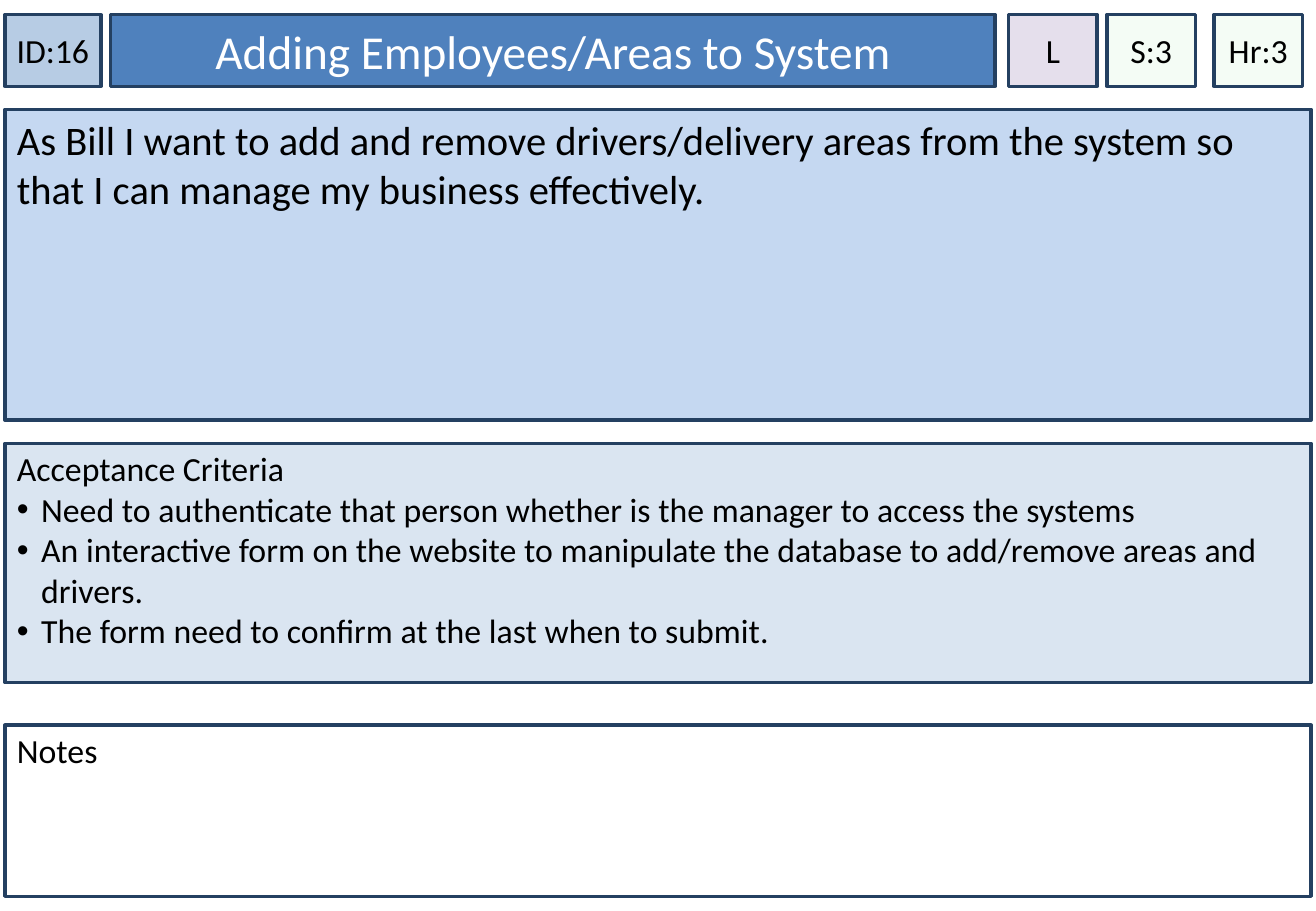
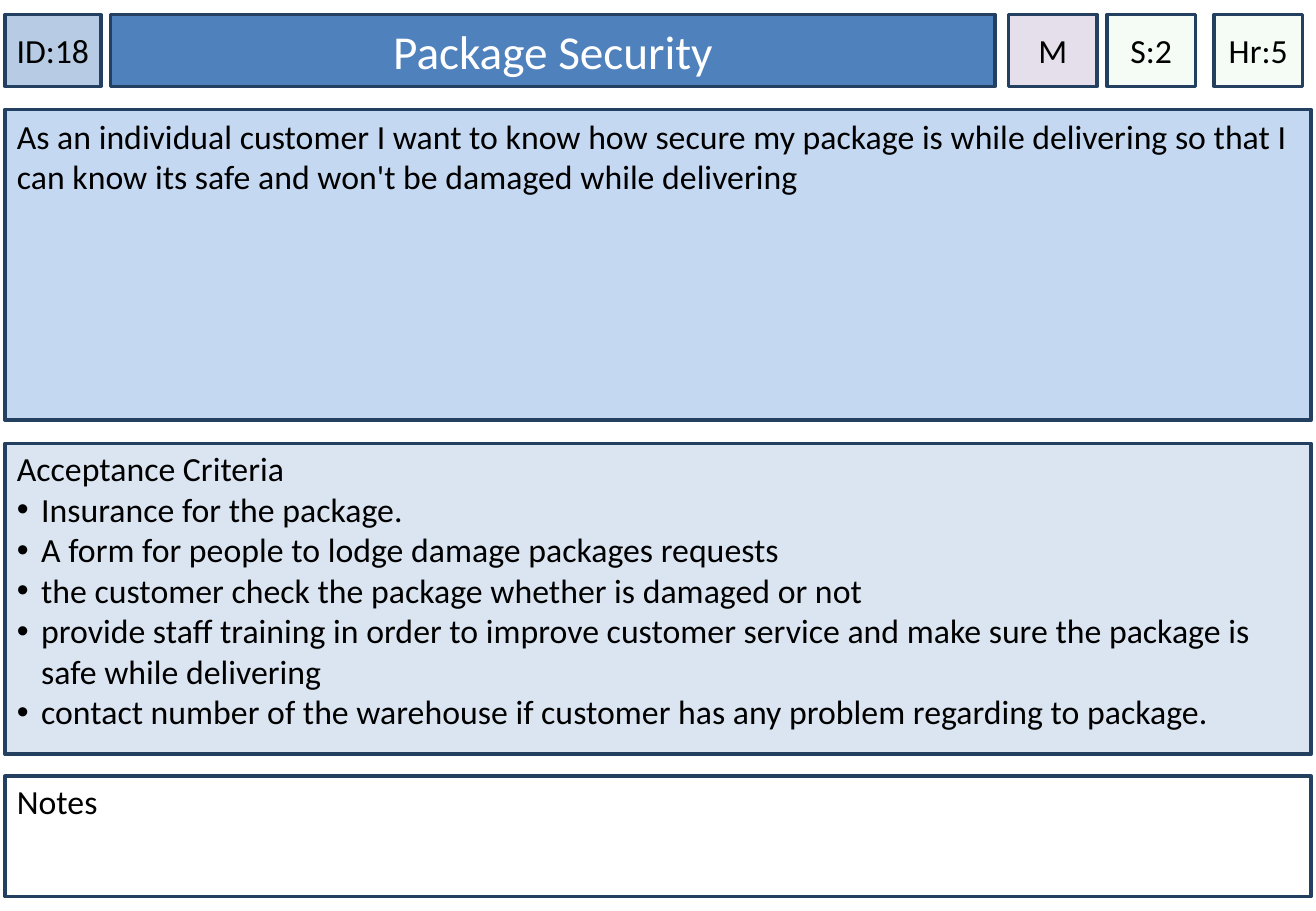
from lxml.etree import SubElement
from pptx import Presentation
from pptx.dml.color import RGBColor
from pptx.enum.shapes import MSO_SHAPE
from pptx.enum.text import MSO_ANCHOR, PP_ALIGN
from pptx.oxml.ns import qn
from pptx.util import Pt

PX = 9144  # 100 px to the inch
FONT = "Calibri"
BLACK, WHITE, NAVY = "000000", "FFFFFF", "244061"
ID_BLUE, TITLE_BLUE = "B7CCE4", "4F81BD"
STORY_BLUE, CRITERIA_BLUE = "C5D8F1", "DAE5F1"
LILAC, GREEN = "E5DFEC", "CCF0CD"

HEADER_TOP, HEADER_HEIGHT = 12, 59
PANEL_LEFT, PANEL_WIDTH = 4, 1075
CRITERIA_TOP, NOTES_BOTTOM = 365, 738

CARDS = [
    {
        "id": "ID:16",
        "title": "Adding Employees/Areas to System",
        "badges": ("L", "S:3", "Hr:3"),
        "story": "As Bill I want to add and remove drivers/delivery areas from the system "
                 "so that I can manage my business effectively.",
        "story_size": 24,
        "criteria": [
            "Need to authenticate that person whether is the manager to access the systems",
            "An interactive form on the website to manipulate the database to add/remove "
            "areas and drivers.",
            "The form need to confirm at the last when to submit.",
        ],
        "criteria_height": 197,
        "notes_top": 597,
    },
    {
        "id": "ID:18",
        "title": "Package Security",
        "badges": ("M", "S:2", "Hr:5"),
        "story": "As an individual customer I want to know how secure my package is while "
                 "delivering so that I can know its safe and won't be damaged while delivering",
        "story_size": 20,
        "criteria": [
            "Insurance for the package.",
            "A form for people to lodge damage packages requests",
            "the customer check the package whether is damaged or not",
            "provide staff training in order to improve customer service and make sure "
            "the package is safe while delivering",
            "contact number of the warehouse if customer has any problem regarding to package.",
        ],
        "criteria_height": 256,
        "notes_top": 639,
    },
]


def rgb(value):
    return RGBColor.from_string(value)


def add_box(page, bounds, fill, lines, size=20, color=BLACK, header=False,
            side=10, top=5, opacity=100):
    """Add an outlined box; every line after the first is a bullet."""
    box = page.shapes.add_shape(MSO_SHAPE.RECTANGLE, *(length * PX for length in bounds))
    box.shadow.inherit = False
    box.fill.solid()
    box.fill.fore_color.rgb = rgb(fill)
    if opacity < 100:
        fill_color = box.fill._xPr.find(qn("a:solidFill"))[0]
        SubElement(fill_color, qn("a:alpha"), val=str(opacity * 1000))
    box.line.color.rgb = rgb(NAVY)
    box.line.width = Pt(2)

    frame = box.text_frame
    frame.word_wrap = True
    frame.vertical_anchor = MSO_ANCHOR.MIDDLE if header else MSO_ANCHOR.TOP
    frame.margin_left = frame.margin_right = side * PX
    frame.margin_top, frame.margin_bottom = top * PX, 5 * PX
    for index, line in enumerate(lines):
        para = frame.add_paragraph() if index else frame.paragraphs[0]
        para.alignment = PP_ALIGN.CENTER if header else PP_ALIGN.LEFT
        if index:
            properties = para._p.get_or_add_pPr()
            properties.set("marL", str(20 * PX))
            properties.set("indent", str(-20 * PX))
            bullet_color = SubElement(properties, qn("a:buClr"))
            SubElement(bullet_color, qn("a:srgbClr"), val=BLACK)
            SubElement(properties, qn("a:buFont"), typeface="Arial")
            SubElement(properties, qn("a:buChar"), char="•")
        span = para.add_run()
        span.text = line
        span.font.name = FONT
        span.font.size = Pt(size)
        span.font.color.rgb = rgb(color)


deck = Presentation()
deck.slide_width, deck.slide_height = 1083 * PX, 750 * PX

for card in CARDS:
    page = deck.slides.add_slide(deck.slide_layouts[6])

    add_box(page, (PANEL_LEFT, HEADER_TOP, 79, HEADER_HEIGHT), ID_BLUE, [card["id"]],
            header=True, side=0)
    add_box(page, (91, HEADER_TOP, 728, HEADER_HEIGHT), TITLE_BLUE, [card["title"]],
            size=28, color=WHITE, header=True)

    add_box(page, (PANEL_LEFT, 90, PANEL_WIDTH, 256), STORY_BLUE, [card["story"]],
            size=card["story_size"])
    add_box(page, (PANEL_LEFT, CRITERIA_TOP, PANEL_WIDTH, card["criteria_height"]),
            CRITERIA_BLUE, ["Acceptance Criteria", *card["criteria"]], top=4)
    notes_top = card["notes_top"]
    add_box(page, (PANEL_LEFT, notes_top, PANEL_WIDTH, NOTES_BOTTOM - notes_top),
            WHITE, ["Notes"], top=4)

    badge_styles = [(830, LILAC, 100), (911, GREEN, 20), (999, GREEN, 20)]
    for label, (left, fill, opacity) in zip(card["badges"], badge_styles):
        add_box(page, (left, HEADER_TOP, 73, HEADER_HEIGHT), fill, [label],
                header=True, side=0, opacity=opacity)

deck.save("out.pptx")
